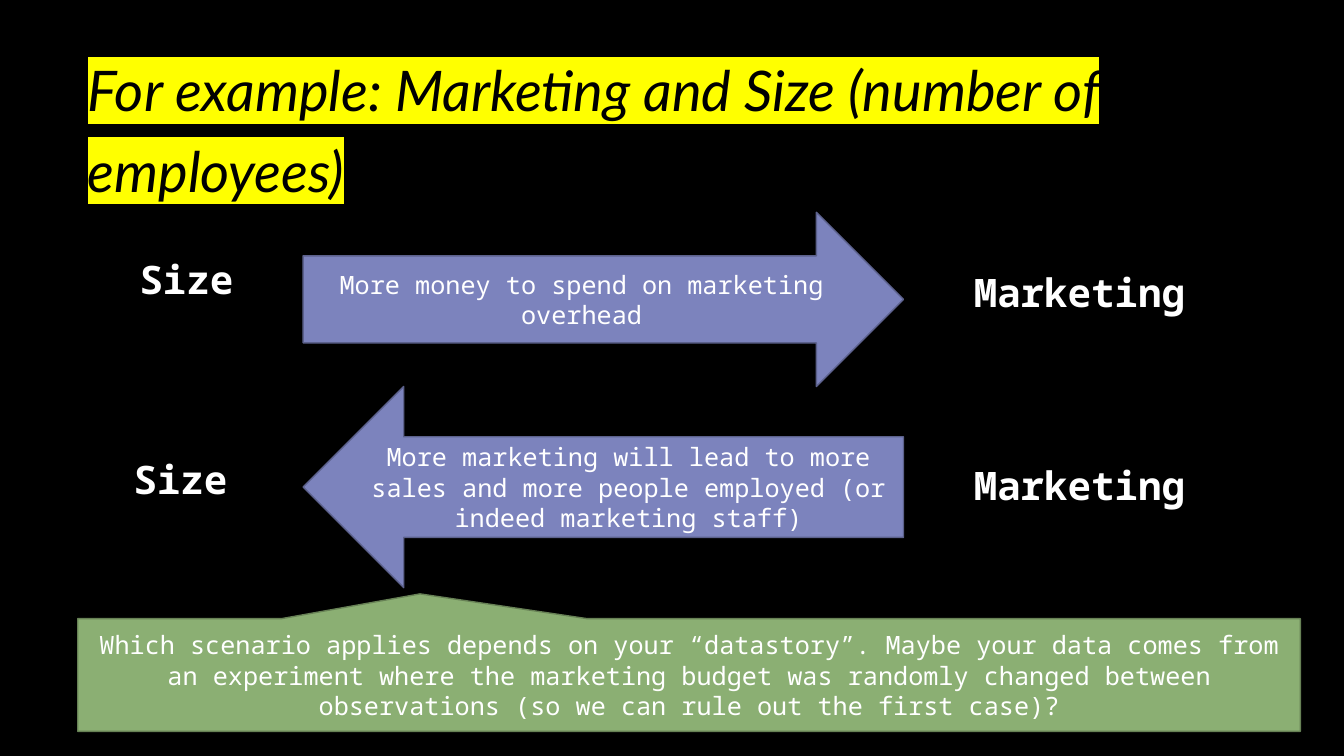
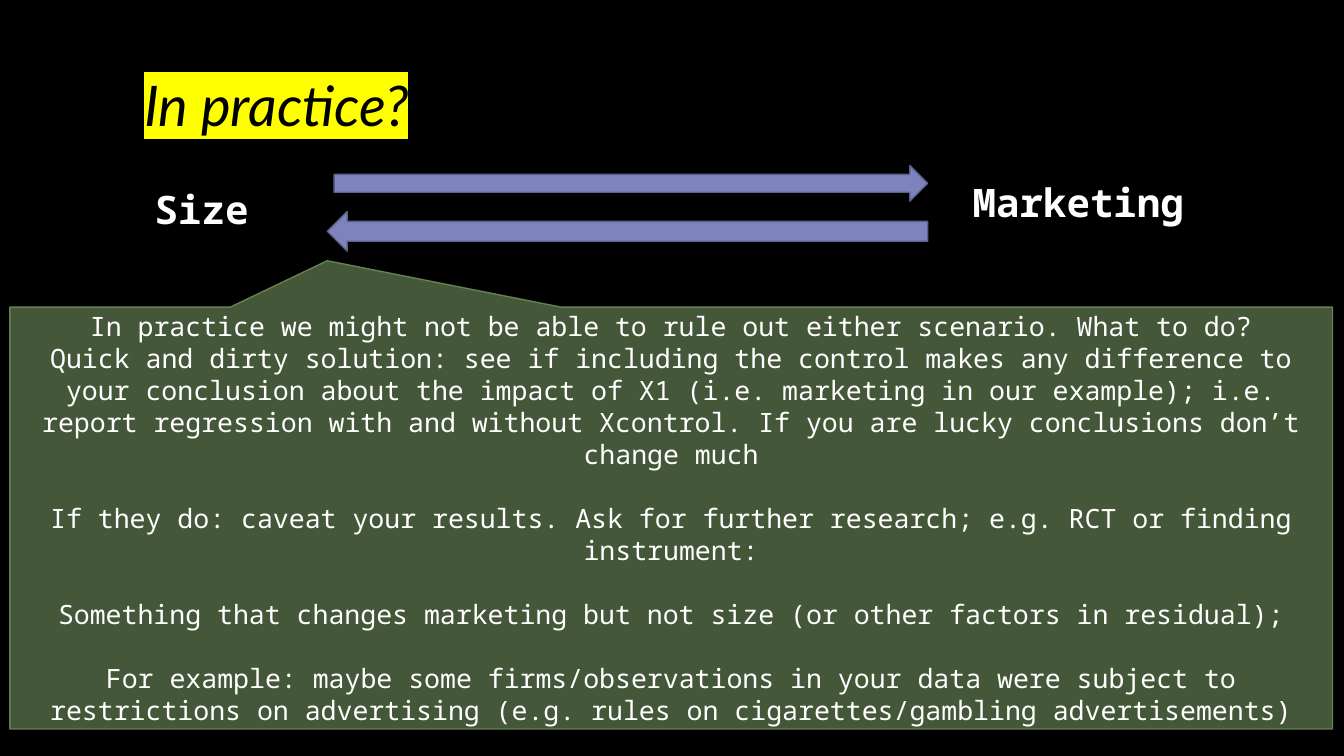
from lxml.etree import SubElement
from pptx import Presentation
from pptx.dml.color import RGBColor
from pptx.enum.shapes import MSO_SHAPE
from pptx.enum.text import MSO_ANCHOR, MSO_AUTO_SIZE, PP_ALIGN
from pptx.oxml.ns import qn
from pptx.util import Cm, Pt

BLACK = RGBColor(0x00, 0x00, 0x00)
WHITE = RGBColor(0xFF, 0xFF, 0xFF)
YELLOW = RGBColor(0xFF, 0xFF, 0x00)
BLUE = RGBColor(0x7C, 0x83, 0xBD)
NAVY = RGBColor(0x5C, 0x61, 0x8C)
GREEN = RGBColor(0x8B, 0xAF, 0x73)
MOSS = RGBColor(0x67, 0x81, 0x55)
HEAD = "Lato"
MONO = "Noto Sans Mono"


class Deck:
    """Hold the style and the current slide, and draw each kind of element."""

    def __init__(self):
        self.prs = Presentation()
        self.prs.slide_width, self.prs.slide_height = Cm(33.87), Cm(19.05)
        back = self.prs.slide_master.background.fill
        back.solid()
        back.fore_color.rgb = BLACK
        self.slide = None

    def place(self, shape, box):
        shape.left, shape.top, shape.width, shape.height = map(Cm, box)

    def add_text(self, para, text, size, bold=False):
        para.alignment = PP_ALIGN.CENTER
        run = para.add_run()
        run.text = text
        font = run.font
        font.size, font.bold, font.name = Pt(size), bold, MONO
        font.color.rgb = WHITE

    def title(self, text, box):
        self.slide = self.prs.slides.add_slide(self.prs.slide_layouts[5])
        shape = self.slide.shapes.title
        self.place(shape, box)
        frame = shape.text_frame
        frame.word_wrap = True
        frame.auto_size = MSO_AUTO_SIZE.NONE
        frame.vertical_anchor = MSO_ANCHOR.BOTTOM
        para = frame.paragraphs[0]
        para.alignment, para.line_spacing = PP_ALIGN.LEFT, 1.2
        run = para.add_run()
        run.text = text
        run.font.size, run.font.italic = Pt(40), True
        run.font.color.rgb = BLACK
        mark = SubElement(run.font._element, qn("a:highlight"))
        SubElement(mark, qn("a:srgbClr"), val=str(YELLOW))
        run.font.name = HEAD

    def label(self, text, left, top, width):
        shape = self.slide.shapes.add_textbox(*map(Cm, (left, top, width, 1.45)))
        frame = shape.text_frame
        frame.word_wrap = True
        frame.auto_size = MSO_AUTO_SIZE.SHAPE_TO_FIT_TEXT
        self.add_text(frame.paragraphs[0], text, 28, True)

    def pair(self, size_at, market_at):
        self.label("Size", *size_at, 3.4)
        self.label("Marketing", *market_at, 8.13)

    def block(self, kind, box, fill, line, texts=(), size=18):
        shape = self.slide.shapes.add_shape(kind, *map(Cm, box))
        shape.shadow.inherit = False
        shape.fill.solid()
        shape.fill.fore_color.rgb = fill
        shape.line.color.rgb = line
        shape.line.width = Pt(1)
        frame = shape.text_frame
        frame.word_wrap = True
        frame.vertical_anchor = MSO_ANCHOR.MIDDLE
        for i, (text, gap) in enumerate(texts):
            para = frame.add_paragraph() if i else frame.paragraphs[0]
            para.space_before = Pt(gap)
            self.add_text(para, text, size)
        return shape

    def arrow(self, kind, box, text=None):
        self.block(kind, box, BLUE, NAVY, [(text, 0)] if text else ())

    def callout(self, box, tip, texts, size=18, alpha=None):
        shape = self.block(MSO_SHAPE.RECTANGULAR_CALLOUT, box, GREEN, MOSS, texts, size)
        shape.adjustments[0], shape.adjustments[1] = tip
        if alpha:
            tint = shape._element.spPr.find(qn("a:solidFill"))[0]
            SubElement(tint, qn("a:alpha"), val=str(alpha * 1000))


def main():
    deck = Deck()
    right, left = MSO_SHAPE.RIGHT_ARROW, MSO_SHAPE.LEFT_ARROW

    deck.title("For example: Marketing and Size (number of employees)",
               (1.96, 0.86, 30.48, 4.4))
    deck.arrow(right, (7.64, 5.35, 15.13, 4.39),
               "More money to spend on marketing overhead")
    deck.pair((3, 6.32), (23.14, 6.63))
    deck.pair((2.85, 11.34), (23.14, 11.51))
    deck.arrow(left, (7.64, 9.74, 15.13, 5.07),
               "More marketing will lead to more sales and more people employed "
               "(or indeed marketing staff)")
    deck.callout((1.96, 15.59, 30.81, 2.84), (-0.22, -0.72), [
        ("Which scenario applies depends on your “datastory”. Maybe your data comes "
         "from an experiment where the marketing budget was randomly changed between "
         "observations (so we can rule out the first case)?", 0)])

    deck.title("In practice?", (3.38, 1.02, 26.37, 2.59))
    deck.pair((3.38, 4.55), (23.11, 4.37))
    deck.callout((0.25, 7.74, 33.33, 10.63), (-0.26, -0.61), [
        ("In practice we might not be able to rule out either scenario. What to do?", 0),
        ("Quick and dirty solution: see if including the control makes any difference "
         "to your conclusion about the impact of X1 (i.e. marketing in our example); "
         "i.e. report regression with and without Xcontrol. If you are lucky "
         "conclusions don’t change much", 0),
        ("If they do: caveat your results. Ask for further research; e.g. RCT or "
         "finding instrument:", 23),
        ("Something that changes marketing but not size (or other factors in "
         "residual);", 23),
        ("For example: maybe some firms/observations in your data were subject to "
         "restrictions on advertising (e.g. rules on cigarettes/gambling "
         "advertisements)", 23)], 19, 50)
    deck.arrow(right, (8.42, 4.17, 14.96, 0.9))
    deck.arrow(left, (8.25, 5.33, 15.13, 1))

    deck.prs.save("out.pptx")


if __name__ == "__main__":
    main()
